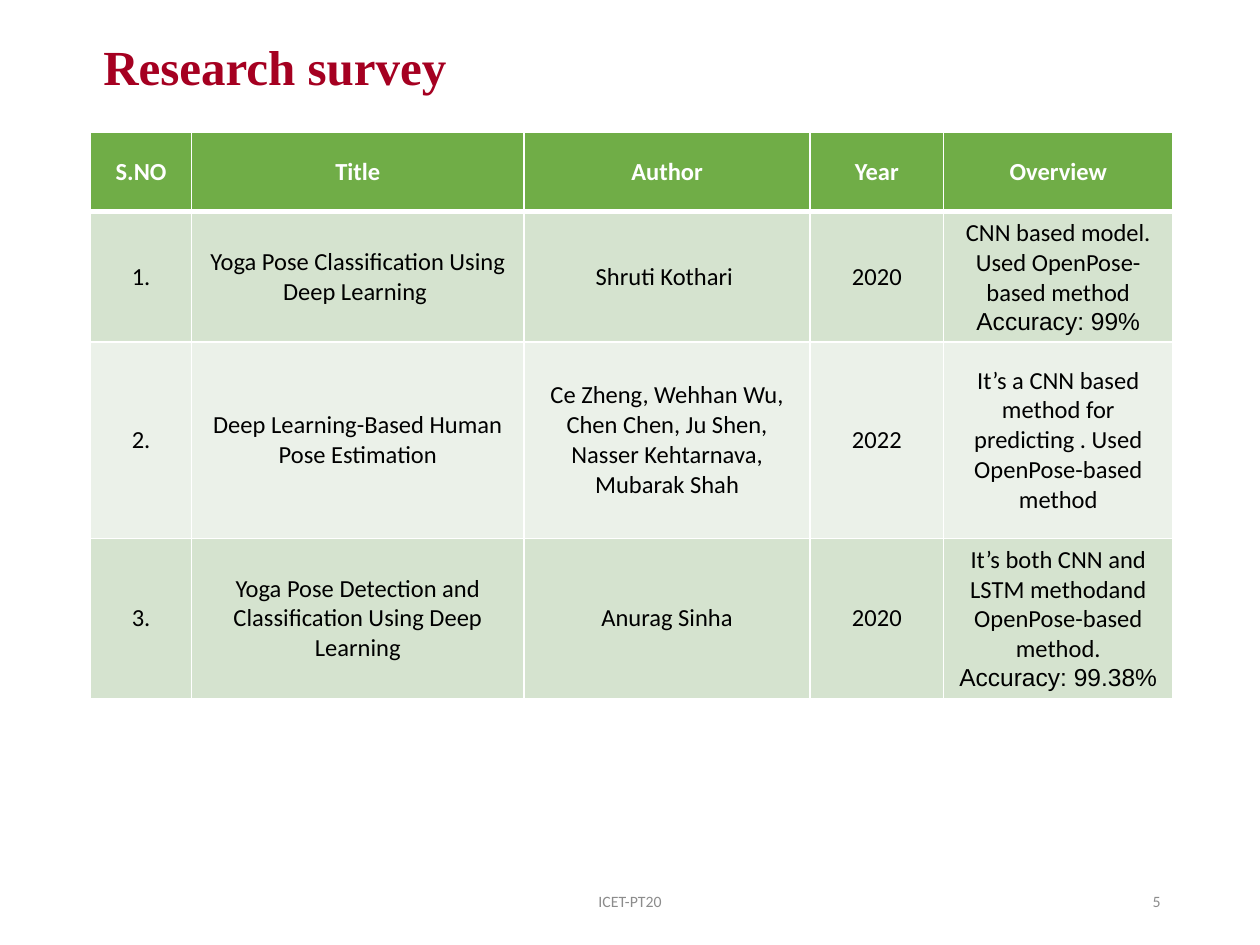
from pptx import Presentation
from pptx.dml.color import RGBColor
from pptx.enum.text import MSO_ANCHOR as Anchor, PP_ALIGN as Align
from pptx.oxml import parse_xml
from pptx.oxml.ns import nsdecls
from pptx.util import Inches, Pt

GREEN, BAND, PALE = "70AD47", "D5E3CF", "EBF1E9"
WHITE, BLACK, GREY, RED = "FFFFFF", "000000", "8C8C8C", "A50021"
COLUMN_WIDTHS = [0.8, 2.64, 2.27, 1.06, 1.82]
ROW_HEIGHTS = [0.63, 1.02, 1.56, 1.26]
HEADINGS = ["S.NO", "Title", "Author", "Year", "Overview"]
PAPERS = [
    ["1.", "Yoga Pose Classification Using Deep Learning ", "Shruti Kothari ", "2020",
     "CNN based model. Used OpenPose-based method\nAccuracy: 99%"],
    ["2.", "Deep Learning-Based Human Pose Estimation",
     "Ce Zheng, Wehhan Wu, Chen Chen, Ju Shen, Nasser Kehtarnava, Mubarak Shah", "2022",
     "It’s a CNN based method for predicting . Used OpenPose-based method"],
    ["3.", "Yoga Pose Detection and Classification Using Deep Learning", "Anurag Sinha", "2020",
     "It’s both CNN and LSTM methodand OpenPose-based method.\nAccuracy: 99.38%"],
]


def color(value):
    """Turn a hex string into a colour."""
    return RGBColor.from_string(value)


def add_span(para, text, size, ink, font="Calibri", bold=False):
    """Add one formatted run to a paragraph."""
    span = para.add_run()
    span.text = text
    span.font.size, span.font.name, span.font.bold = Pt(size), font, bold
    span.font.color.rgb = color(ink)


def set_title(page, text):
    """Place and format the title placeholder."""
    title = page.shapes.title
    title.left, title.top = Inches(0.72), Inches(0.19)
    title.width, title.height = Inches(6.65), Inches(0.63)
    title.text_frame.vertical_anchor = Anchor.MIDDLE
    para = title.text_frame.paragraphs[0]
    para.alignment, para.line_spacing, para.space_after = Align.LEFT, 1.07, Pt(4.5)
    add_span(para, text, 28, RED, "Times New Roman", True)


def add_footer(page, text, left, width, alignment):
    """Add a small grey text at the foot of the page."""
    box = page.shapes.add_textbox(Inches(left), Inches(6.95), Inches(width), Inches(0.4))
    box.text_frame.word_wrap = True
    box.text_frame.vertical_anchor = Anchor.MIDDLE
    para = box.text_frame.paragraphs[0]
    para.alignment = alignment
    add_span(para, text, 9, GREY)


def set_borders(cell, top, bottom):
    """Draw white borders, one point wide at the sides."""
    properties = cell._tc.get_or_add_tcPr()
    for side, width in (("L", 1), ("R", 1), ("T", top), ("B", bottom)):
        properties.append(parse_xml(
            f'<a:ln{side} {nsdecls("a")} w="{Pt(width)}"><a:solidFill>'
            f'<a:srgbClr val="{WHITE}"/></a:solidFill></a:ln{side}>'))


def fill_cell(cell, text, row):
    """Write a centred cell in the style of its row."""
    header = row == 0
    set_borders(cell, 3 if row == 1 else 1, 3 if header else 1)
    cell.fill.solid()
    cell.fill.fore_color.rgb = color(GREEN if header else BAND if row % 2 else PALE)
    cell.vertical_anchor = Anchor.MIDDLE
    frame = cell.text_frame
    for index, line in enumerate(text.split("\n")):
        para = frame.add_paragraph() if index else frame.paragraphs[0]
        para.alignment = Align.CENTER
        add_span(para, line, 14, WHITE if header else BLACK, "Arial" if index else "Calibri", header)


def add_survey(page):
    """Add the table of surveyed papers."""
    rows = [HEADINGS, *PAPERS]
    table = page.shapes.add_table(
        len(rows), len(HEADINGS), Inches(0.72), Inches(1.05),
        Inches(sum(COLUMN_WIDTHS)), Inches(sum(ROW_HEIGHTS))).table
    for column, width in zip(table.columns, COLUMN_WIDTHS):
        column.width = Inches(width)
    for row, (height, texts) in enumerate(zip(ROW_HEIGHTS, rows)):
        table.rows[row].height = Inches(height)
        for column, text in enumerate(texts):
            fill_cell(table.cell(row, column), text, row)


def main():
    """Build the research survey slide."""
    deck = Presentation()
    deck.slide_width, deck.slide_height = Inches(10), Inches(7.5)
    page = deck.slides.add_slide(deck.slide_layouts[5])
    set_title(page, "Research survey ")
    add_footer(page, "5", 7.06, 2.25, Align.RIGHT)
    add_survey(page)
    add_footer(page, "ICET-PT20", 3.31, 3.38, Align.CENTER)
    deck.save("out.pptx")


main()
